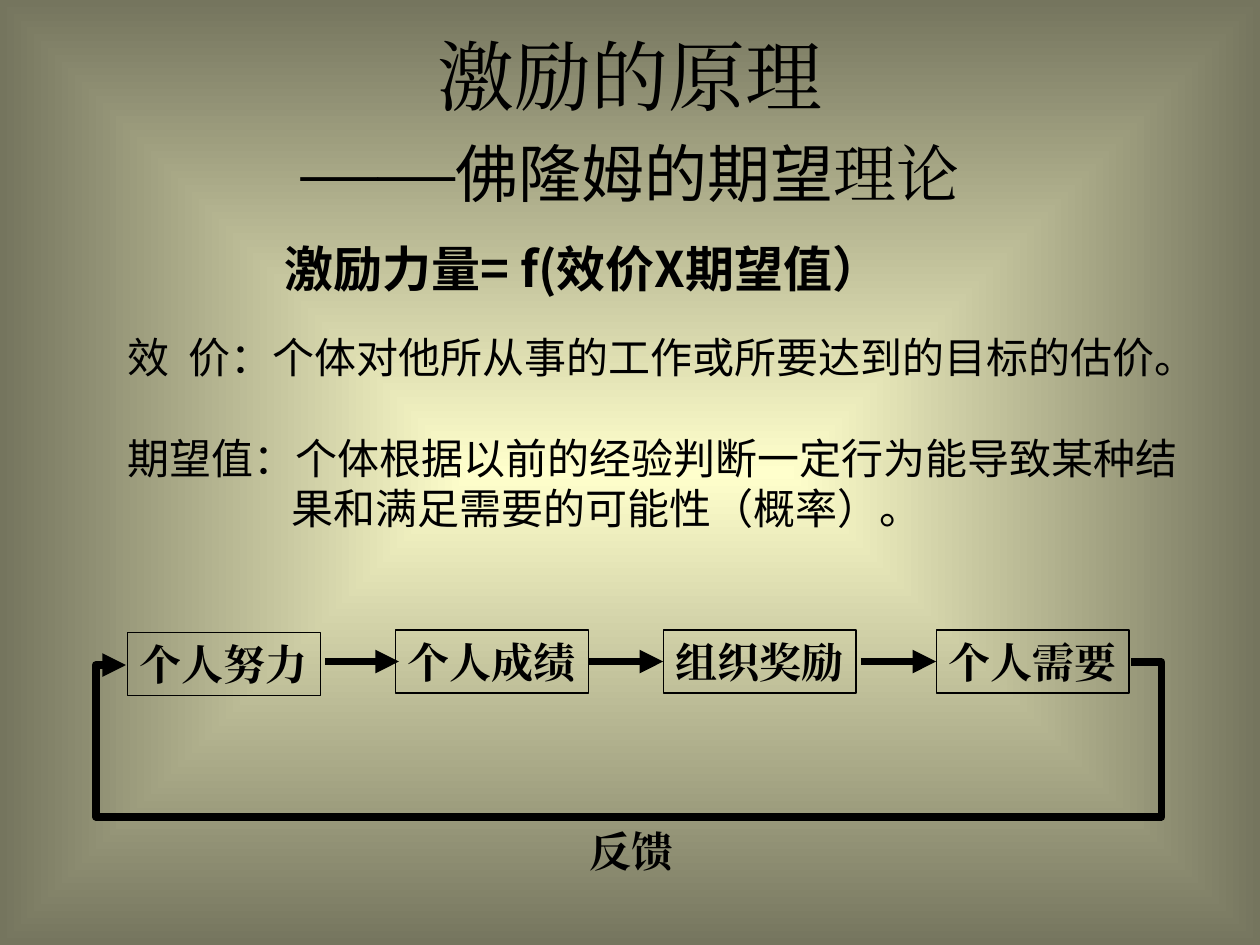
from dataclasses import dataclass

from lxml import etree
from pptx import Presentation
from pptx.dml.color import RGBColor
from pptx.enum.shapes import MSO_CONNECTOR, MSO_SHAPE
from pptx.enum.text import MSO_ANCHOR, PP_ALIGN
from pptx.oxml.ns import qn
from pptx.util import Pt

LINE, ELBOW = MSO_CONNECTOR.STRAIGHT, MSO_CONNECTOR.ELBOW
RECT = MSO_SHAPE.RECTANGLE
LEFT, CENTER = PP_ALIGN.LEFT, PP_ALIGN.CENTER
TOP, MIDDLE = MSO_ANCHOR.TOP, MSO_ANCHOR.MIDDLE
LEFT_SIDE, RIGHT_SIDE = 1, 3


@dataclass(frozen=True)
class Theme:
    ink: RGBColor = RGBColor(0, 0, 0)
    glow: RGBColor = RGBColor(0xFF, 0xFF, 0xCC)
    edge: RGBColor = RGBColor(0x75, 0x75, 0x5E)
    sans: str = "Noto Sans CJK SC"
    serif: str = "Times New Roman"
    title: float = 44
    sub: float = 36
    head: float = 28
    body: float = 24
    thin: float = 0.75
    thick: float = 4.5


class Deck:
    def __init__(self, theme, wide, high):
        self.theme = theme
        self.show = Presentation()
        self.show.slide_width, self.show.slide_height = Pt(wide), Pt(high)
        self.slide = self.show.slides.add_slide(self.show.slide_layouts[6])
        self.shapes = self.slide.shapes

    def glow(self):
        """Fill the background with a gradient that spreads from the centre."""
        fill = self.slide.background.fill
        fill.gradient()
        for stop, color in zip(fill.gradient_stops, (self.theme.glow, self.theme.edge)):
            stop.color.rgb = color
        lin = next(self.slide.element.iter(qn("a:lin")))
        way = etree.Element(qn("a:path"), {"path": "rect"})
        etree.SubElement(way, qn("a:fillToRect"), {side: "50000" for side in "ltrb"})
        lin.getparent().replace(lin, way)

    def style(self, run, font, size, bold=False):
        run.font.name, run.font.size, run.font.bold = font, Pt(size), bold
        run.font.color.rgb = self.theme.ink
        latin = run.font._element.find(qn("a:latin"))
        latin.addnext(etree.Element(qn("a:ea"), typeface=font))

    def label(self, shape, text, font, size, bold=False, align=LEFT, anchor=TOP, wrap=True):
        frame = shape.text_frame
        frame.text = text
        frame.word_wrap, frame.vertical_anchor = wrap, anchor
        for para in frame.paragraphs:
            para.alignment = align
            for run in para.runs:
                self.style(run, font, size, bold)
        return frame

    def text(self, x, y, w, h, *args, **kwargs):
        box = self.shapes.add_textbox(Pt(x), Pt(y), Pt(w), Pt(h))
        return self.label(box, *args, **kwargs)

    def box(self, x, y, w, h, text):
        box = self.shapes.add_shape(RECT, Pt(x), Pt(y), Pt(w), Pt(h))
        box.shadow.inherit = False
        box.fill.background()
        box.line.color.rgb, box.line.width = self.theme.ink, Pt(self.theme.thin)
        self.label(box, text, self.theme.serif, self.theme.body, True, CENTER, MIDDLE, False)
        return box

    def arrow(self, x1, y1, x2, y2, kind=LINE):
        line = self.shapes.add_connector(kind, Pt(x1), Pt(y1), Pt(x2), Pt(y2))
        line.line.color.rgb, line.line.width = self.theme.ink, Pt(self.theme.thick)
        edge = line._element.spPr.find(qn("a:ln"))
        etree.SubElement(edge, qn("a:tailEnd"), type="triangle")
        etree.SubElement(line._element.spPr, qn("a:effectLst"))
        return line

    def loop(self, x1, y1, x2, y2, out, low):
        """Lead back from x1 to x2, going out past both ends and down to low."""
        line = self.arrow(x1, y1, x2, y2, ELBOW)
        geom = line._element.spPr.find(qn("a:prstGeom"))
        geom.set("prst", "bentConnector5")
        guides = geom.find(qn("a:avLst"))
        if guides is None:
            guides = etree.SubElement(geom, qn("a:avLst"))
        side = out / (x1 - x2)
        for i, part in enumerate((-side, (low - y1) / (y2 - y1), 1 + side), 1):
            etree.SubElement(guides, qn("a:gd"), name=f"adj{i}", fmla=f"val {round(part * 100000)}")


def main():
    theme = Theme()
    deck = Deck(theme, 720, 540)
    deck.glow()

    title = deck.text(18, 18, 684, 102, "激励的原理\v——", theme.serif, theme.title,
                      align=CENTER, anchor=MIDDLE)
    for part, font in (("佛隆姆的期望", theme.sans), ("理论", theme.serif)):
        run = title.paragraphs[0].add_run()
        run.text = part
        deck.style(run, font, theme.sub)

    deck.text(155.5, 133, 390, 41, "激励力量= f(效价X期望值）", theme.sans, theme.head, True)

    terms = deck.text(66, 186, 638, 122,
                      "效  价：个体对他所从事的工作或所要达到的目标的估价。\n"
                      "期望值：个体根据以前的经验判断一定行为能导致某种结\v果和满足需要的可能性（概率）。",
                      theme.sans, theme.body)
    last = terms.paragraphs[1]
    last.space_before = Pt(28.8)
    hang = Pt(93.5)
    last._p.get_or_add_pPr().set("marL", str(int(hang)))
    last._p.get_or_add_pPr().set("indent", str(-int(hang)))

    steps = (("个人努力", 72.75, 361.5), ("个人成绩", 226, 360),
             ("组织奖励", 379, 360), ("个人需要", 535, 360))
    boxes = [deck.box(x, y, 110.25, 36, name) for name, x, y in steps]

    mid = 378
    deck.arrow(186, mid, 228, mid)
    link = deck.arrow(336, mid, 378, mid)
    link.begin_connect(boxes[1], RIGHT_SIDE)
    link.end_connect(boxes[2], LEFT_SIDE)
    link = deck.arrow(492, mid, 534, mid)
    link.end_connect(boxes[3], LEFT_SIDE)

    deck.loop(646.5, 378.5, 72, 380, out=17.5, low=466.5)
    deck.text(330, 468, 66, 36, "反馈", theme.serif, theme.body, True)
    deck.show.save("out.pptx")


if __name__ == "__main__":
    main()
